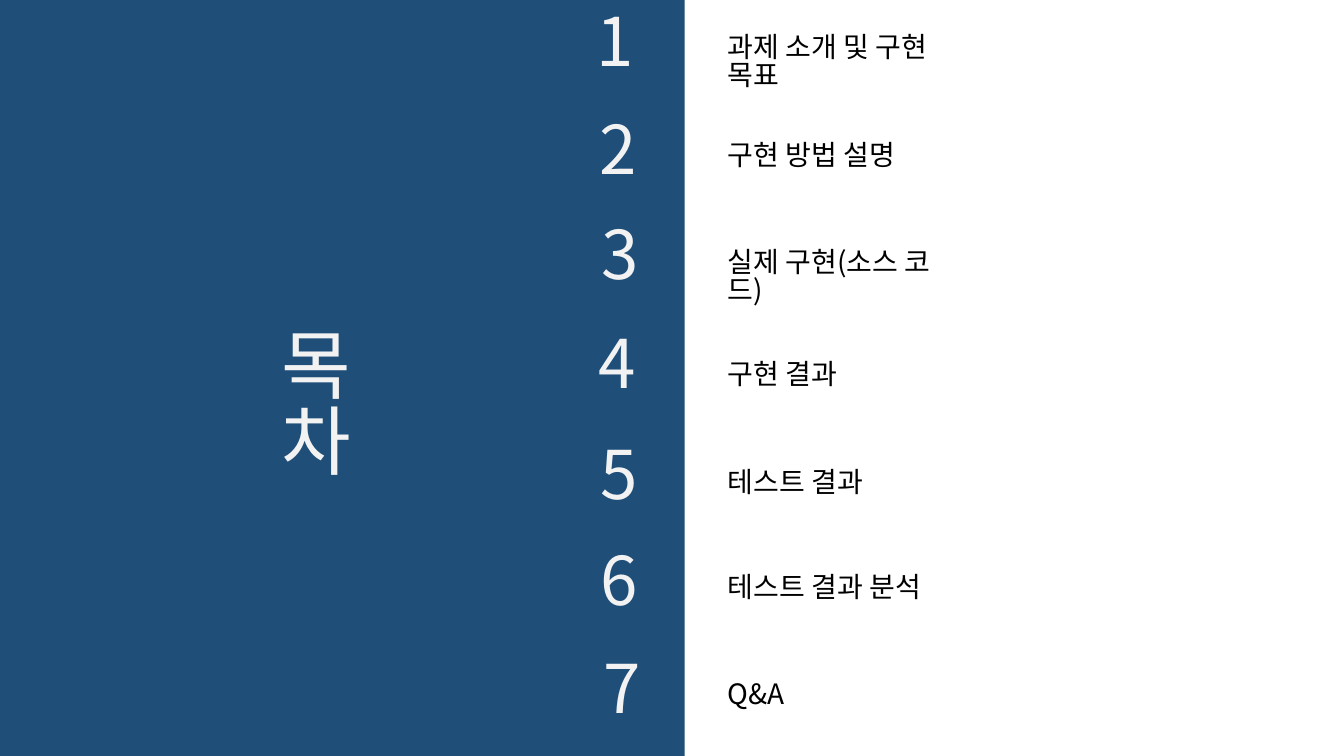
from dataclasses import dataclass

from pptx import Presentation, util as u
from pptx.dml.color import RGBColor
from pptx.enum import shapes, text
from pptx.oxml.ns import qn
from lxml import etree


@dataclass(frozen=True)
class Theme:
    font: str = "Noto Sans CJK KR"
    navy: str = "1F4E79"
    pale: str = "F2F2F2"
    ink: str = "000000"
    title: int = 54
    digit: int = 48
    label: int = 20
    lead: float = 0.84


THEME = Theme()
WIDTH, HEIGHT = 13.33, 7.5
# number left, number top, label top, label
ITEMS = [
    (5.82, 0.07, 0.3, "과제 소개 및 구현 목표"),
    (5.85, 1.14, 1.37, "구현 방법 설명"),
    (5.87, 2.19, 2.43, "실제 구현(소스 코드)"),
    (5.84, 3.27, 3.54, "구현 결과"),
    (5.86, 4.37, 4.61, "테스트 결과"),
    (5.86, 5.42, 5.65, "테스트 결과 분석"),
    (5.89, 6.49, 6.72, "Q&A"),
]


def inches(box):
    return [u.Inches(n) for n in box]


def block(slide, box):
    """Add a plain navy rectangle."""
    shape = slide.shapes.add_shape(shapes.MSO_SHAPE.RECTANGLE, *inches(box))
    shape.shadow.inherit = False
    shape.fill.solid()
    shape.fill.fore_color.rgb = RGBColor.from_string(THEME.navy)
    shape.line.fill.background()
    return shape


def write(shape, words, size, color, wrap=True):
    frame = shape.text_frame
    frame.word_wrap = wrap
    frame.auto_size = text.MSO_AUTO_SIZE.SHAPE_TO_FIT_TEXT
    frame.vertical_anchor = text.MSO_ANCHOR.TOP
    para = frame.paragraphs[0]
    para.alignment = text.PP_ALIGN.LEFT
    para.line_spacing = THEME.lead
    run = para.add_run()
    run.text = words
    run.font.size = u.Pt(size)
    run.font.name = THEME.font
    run.font.color.rgb = RGBColor.from_string(color)
    east = etree.SubElement(run.font._element, qn("a:ea"))
    east.set("typeface", THEME.font)


def panel(slide, box):
    """Draw the navy side with its heading."""
    left, top, _, _ = box
    block(slide, box)
    head = block(slide, (left + 2.69, top + 3.25, 1.42, 1.01))
    write(head, "목차", THEME.title, THEME.pale)


def agenda(slide, box):
    """Place numbers and labels from the top left of the box."""
    left, top, _, _ = box
    for index, (side, high, low, label) in enumerate(ITEMS, 1):
        digit = block(slide, (left + side, top + high, 0.55, 0.91))
        write(digit, str(index), THEME.digit, THEME.pale, wrap=False)
        note = slide.shapes.add_textbox(
            *inches((left + 7.12, top + low, 2.55, 0.44)))
        write(note, label, THEME.label, THEME.ink)


def main():
    deck = Presentation()
    deck.slide_width, deck.slide_height = inches((WIDTH, HEIGHT))
    slide = deck.slides.add_slide(deck.slide_layouts[6])
    panel(slide, (0, 0, 6.79, HEIGHT))
    agenda(slide, (0, 0, WIDTH, HEIGHT))
    deck.save("out.pptx")


if __name__ == "__main__":
    main()
